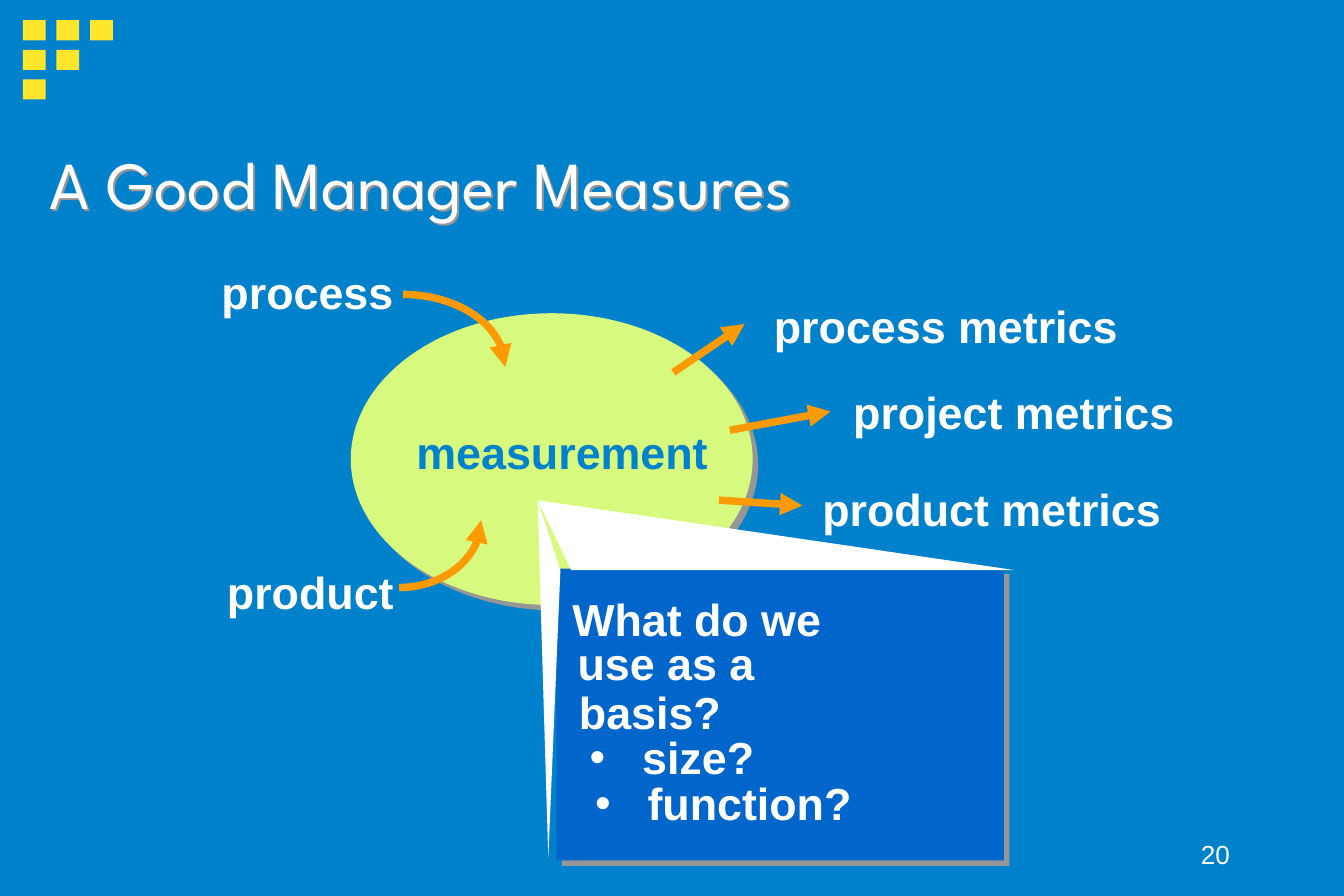
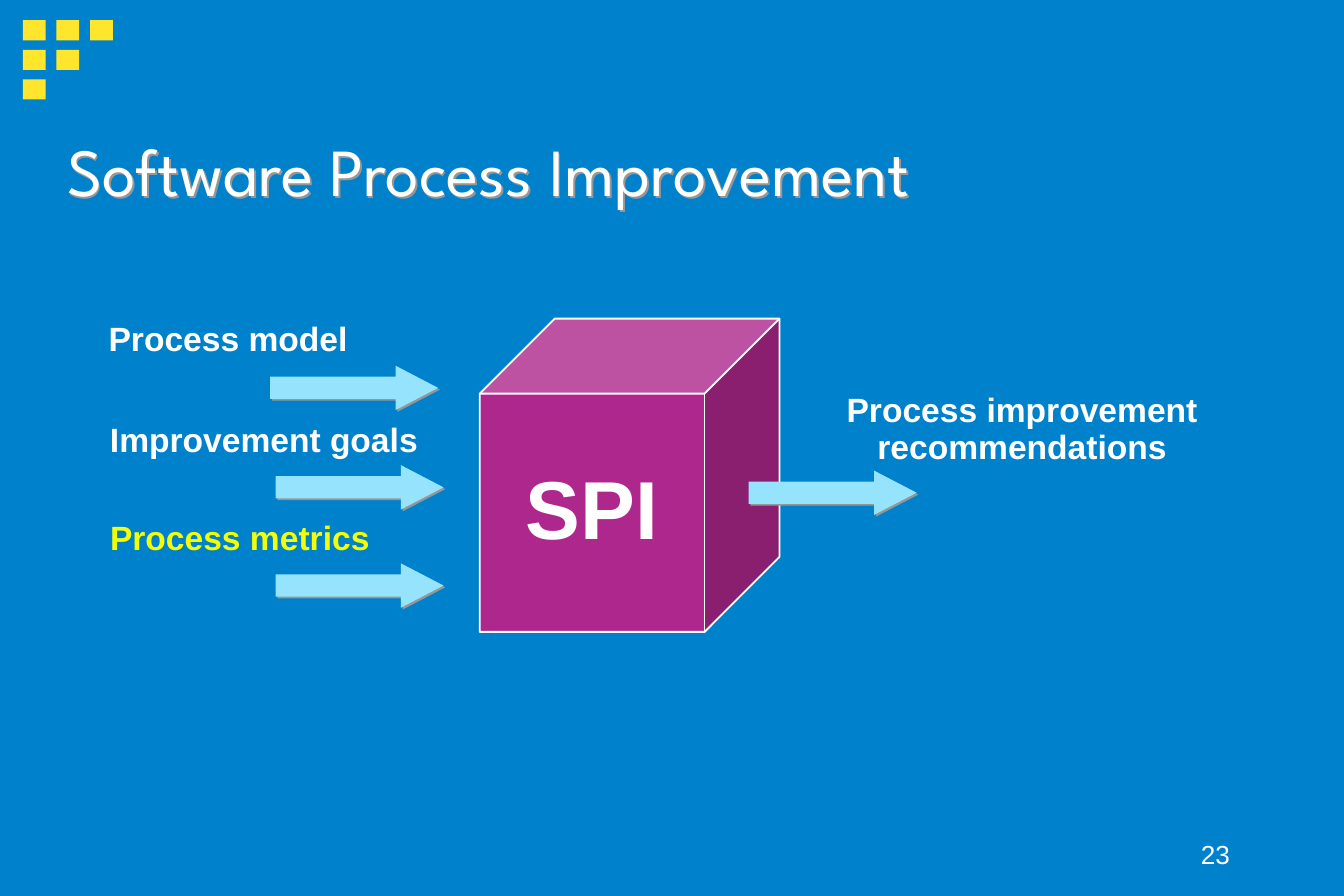
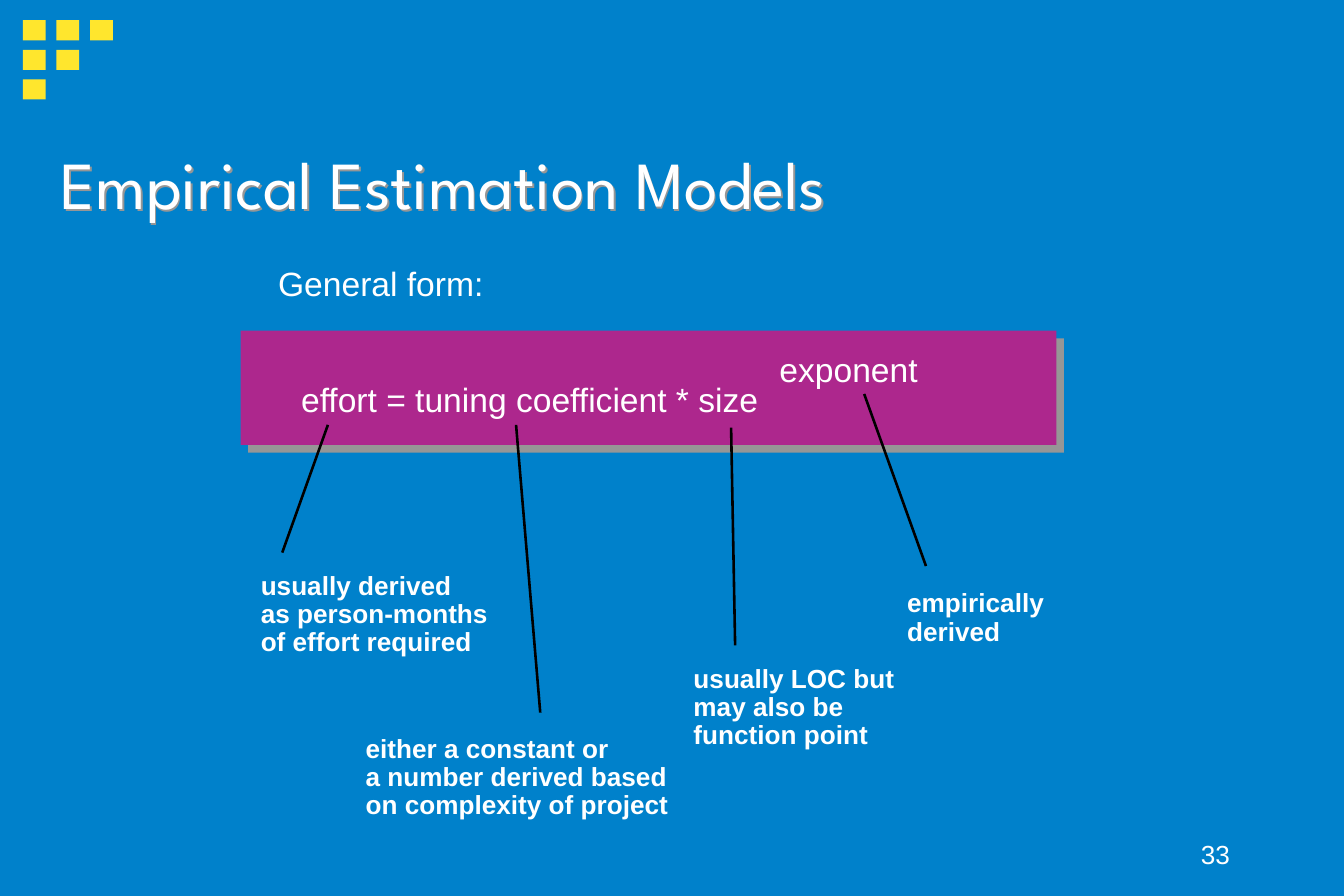
"""Build three slides on measuring and estimating software projects."""
from math import cos, pi, sin

from lxml.etree import SubElement
from pptx import Presentation
from pptx.dml.color import RGBColor
from pptx.enum.shapes import MSO_CONNECTOR, MSO_SHAPE
from pptx.enum.text import MSO_ANCHOR, MSO_AUTO_SIZE, PP_ALIGN
from pptx.oxml.ns import qn
from pptx.util import Inches, Pt

BLUE = RGBColor(0x00, 0x81, 0xCB)
NAVY = RGBColor(0x00, 0x66, 0xCC)
WHITE = RGBColor(0xFF, 0xFF, 0xFF)
BLACK = RGBColor(0x00, 0x00, 0x00)
GOLD = RGBColor(0xFF, 0xE6, 0x2D)
YELLOW = RGBColor(0xF3, 0xFF, 0x07)
LIME = RGBColor(0xD7, 0xFA, 0x7E)
ORANGE = RGBColor(0xFE, 0x9B, 0x03)
PURPLE = RGBColor(0xAD, 0x27, 0x8D)
SKY = RGBColor(0x96, 0xE3, 0xFE)
GREY = RGBColor(0x96, 0x96, 0x96)


def add_shadow(effects, dist):
    """Cast a solid grey shadow down and to the right."""
    cast = SubElement(effects, qn("a:outerShdw"), dist=str(Pt(dist)),
                      dir="2700000", algn="ctr", rotWithShape="0")
    SubElement(cast, qn("a:srgbClr"), val=str(GREY))


def style(para, size, color, bold=False, font="Arial"):
    """Format every run of a paragraph."""
    for run in para.runs:
        run.font.size = Pt(size)
        run.font.bold = bold
        run.font.name = font
        run.font.color.rgb = color


def add_block(slide, kind, box, fill, shadow=0):
    """Add a filled preset shape without an outline."""
    block = slide.shapes.add_shape(kind, *map(Inches, box))
    block.fill.solid()
    block.fill.fore_color.rgb = fill
    block.line.fill.background()
    block.shadow.inherit = False
    if shadow:
        add_shadow(block._element.spPr.find(qn("a:effectLst")), shadow)
    return block


def add_label(slide, text, left, top, width, size=24, color=WHITE, bold=True,
              height=0.5, inset=0.1, space=None, align=PP_ALIGN.LEFT):
    """Add a text box and return its frame."""
    box = slide.shapes.add_textbox(*map(Inches, (left, top, width, height)))
    frame = box.text_frame
    frame.word_wrap = True
    frame.margin_left = frame.margin_right = Inches(inset)
    frame.margin_top = frame.margin_bottom = Inches(inset / 2)
    frame.text = text
    for para in frame.paragraphs:
        para.alignment = align
        para.line_spacing = space
        style(para, size, color, bold)
    return frame


def add_bullet(slide, text, left, top, width):
    """Add a label that starts with a bullet."""
    para = add_label(slide, text, left, top, width).paragraphs[0]
    props = para._p.get_or_add_pPr()
    props.set("marL", str(Inches(0.58)))
    props.set("indent", str(Inches(-0.39)))
    SubElement(props, qn("a:buFont"), typeface="Arial")
    SubElement(props, qn("a:buChar"), char="•")


def draw_line(shape, color, width, arrow):
    """Colour a line and give its end an arrowhead on request."""
    shape.line.color.rgb = color
    shape.line.width = Pt(width)
    if arrow:
        SubElement(shape.line._get_or_add_ln(), qn("a:tailEnd"), type="triangle")


def add_line(slide, start, end, color, width, arrow=False):
    """Join two points by a straight line."""
    line = slide.shapes.add_connector(
        MSO_CONNECTOR.STRAIGHT, *map(Inches, start + end))
    draw_line(line, color, width, arrow)
    SubElement(line._element.spPr, qn("a:effectLst"))


def add_path(slide, points, close):
    """Add a freeform through points given in inches."""
    spots = [(Inches(x), Inches(y)) for x, y in points]
    pen = slide.shapes.build_freeform(*spots[0])
    pen.add_line_segments(spots[1:], close=close)
    path = pen.convert_to_shape()
    path.shadow.inherit = False
    return path


def add_bend(slide, x, y, wide, high, steps=24):
    """Add a quarter ellipse arrow that ends at the right of its centre."""
    turns = [pi / 2 * (1 - step / steps) for step in range(steps + 1)]
    bend = add_path(slide, [(x + wide * cos(turn), y + high * sin(turn))
                            for turn in turns], False)
    bend.fill.background()
    draw_line(bend, ORANGE, 4, True)


def add_wedge(slide, points):
    """Add a white closed outline."""
    wedge = add_path(slide, points, True)
    wedge.fill.solid()
    wedge.fill.fore_color.rgb = WHITE
    wedge.line.fill.background()


def add_page(deck, layout, title, box, number):
    """Add a slide with its title and page number."""
    slide = deck.slides.add_slide(layout)
    head = slide.shapes.title
    head.left, head.top, head.width, head.height = map(Inches, box)
    frame = head.text_frame
    frame.text = title
    frame.auto_size = MSO_AUTO_SIZE.NONE
    frame.vertical_anchor = MSO_ANCHOR.MIDDLE
    frame.margin_left = frame.margin_right = Inches(0.07)
    frame.margin_top = frame.margin_bottom = Inches(0.03)
    para = frame.paragraphs[0]
    para.alignment = PP_ALIGN.LEFT
    style(para, 36, WHITE, font="League Spartan")
    add_shadow(SubElement(head._element.spPr, qn("a:effectLst")), 1.4)
    foot = add_label(slide, number, 7.17, 6.08, 2.08, 14, bold=False,
                     height=0.44, align=PP_ALIGN.RIGHT)
    foot.vertical_anchor = MSO_ANCHOR.BOTTOM
    return slide


def set_layout(layout, slide):
    """Give the layout its background and its corner of squares."""
    layout.background.fill.solid()
    layout.background.fill.fore_color.rgb = BLUE
    for row in range(3):
        for col in range(3 - row):
            box = (0.17 + 0.25 * col, 0.15 + 0.22 * row, 0.17, 0.15)
            square = add_block(slide, MSO_SHAPE.RECTANGLE, box, GOLD)
            layout.shapes._spTree.append(square._element)


def fill_measures(slide):
    """Show what goes into measurement and what comes out."""
    add_block(slide, MSO_SHAPE.OVAL, (2.61, 2.33, 2.99, 2.17), LIME, 4.2)
    add_block(slide, MSO_SHAPE.RECTANGLE, (4.14, 4.23, 3.33, 2.17), NAVY, 4.2)
    add_label(slide, "measurement", 3, 3.11, 2.42, color=BLUE)
    for text, left, top, width in (
            ("What do we", 4.16, 4.35, 3.06), ("use as a", 4.2, 4.68, 1.56),
            ("basis?", 4.21, 5.04, 1.3), ("process", 1.55, 1.92, 1.53),
            ("product", 1.59, 4.15, 1.49), ("process metrics", 5.66, 2.17, 2.81),
            ("project metrics", 6.25, 2.81, 2.64),
            ("product metrics", 6.02, 3.53, 2.77)):
        add_label(slide, text, left, top, width)
    add_bullet(slide, "size?", 4.1, 5.38, 1.8)
    add_bullet(slide, "function?", 4.14, 5.72, 2.4)
    add_bend(slide, 3, 2.73, 0.76, -0.54)
    add_bend(slide, 2.97, 3.87, 0.61, 0.5)
    for start, end in (((5.01, 2.77), (5.54, 2.41)), ((5.43, 3.2), (6.18, 3.06)),
                       ((5.35, 3.72), (5.97, 3.76))):
        add_line(slide, start, end, ORANGE, 4, True)
    add_wedge(slide, [(4, 3.72), (7.55, 4.24), (4.25, 4.24)])
    add_wedge(slide, [(4, 3.72), (4.08, 6.38), (4.17, 4.24)])


def fill_process(slide):
    """Show the inputs and the output of process improvement."""
    cube = add_block(slide, MSO_SHAPE.CUBE, (3.57, 2.37, 2.23, 2.33), PURPLE)
    draw_line(cube, WHITE, 1, False)
    frame = cube.text_frame
    frame.text = "SPI"
    frame.word_wrap = False
    frame.vertical_anchor = MSO_ANCHOR.MIDDLE
    para = frame.paragraphs[0]
    para.alignment = PP_ALIGN.CENTER
    para.line_spacing = 0.9
    style(para, 44, WHITE, True)
    for left, top in ((2.01, 2.72), (2.05, 3.46), (2.05, 4.19), (5.57, 3.5)):
        arrow = add_block(slide, MSO_SHAPE.RIGHT_ARROW,
                          (left, top, 1.25, 0.33), SKY, 1.4)
        arrow.adjustments[1] = 0.96
    for text, left, top, width, color in (
            ("Process model", 0.71, 2.35, 2.03, WHITE),
            ("Improvement goals", 0.72, 3.1, 2.54, WHITE),
            ("Process metrics", 0.72, 3.83, 2.18, YELLOW)):
        add_label(slide, text, left, top, width, 18, color, height=0.37, space=0.9)
    add_label(slide, "Process improvement\nrecommendations", 6.17, 2.88, 2.87, 18,
              height=0.64, space=0.9, align=PP_ALIGN.CENTER)


def fill_models(slide):
    """Show the general estimation formula and explain its terms."""
    add_block(slide, MSO_SHAPE.RECTANGLE, (1.79, 2.46, 6.07, 0.85), PURPLE, 5.7)
    for text, left, top, width in (
            ("General form:", 2.07, 1.99, 1.6),
            ("effort = tuning coefficient * size", 2.24, 2.85, 3.48),
            ("exponent", 5.8, 2.63, 1.1)):
        add_label(slide, text, left, top, width, 18, bold=False, height=0.27,
                  inset=0, space=0.9)
    for start, end in (((2.44, 3.16), (2.1, 4.11)), ((3.84, 3.16), (4.02, 5.3)),
                       ((5.44, 3.18), (5.47, 4.8)), ((6.43, 2.93), (6.89, 4.21))):
        add_line(slide, start, end, BLACK, 1.39)
    for left, top, width, lines in (
            (1.94, 4.26, 1.75, ("usually derived", "as person-months",
                                "of effort required")),
            (2.72, 5.47, 2.35, ("either a constant or", "a number derived based",
                                "on complexity of project")),
            (5.16, 4.95, 1.55, ("usually LOC but", "may also be",
                                "function point")),
            (6.75, 4.39, 1.07, ("empirically", "derived"))):
        for row, text in enumerate(lines):
            add_label(slide, text, left, top + 0.21 * row, width, 14, height=0.21,
                      inset=0, space=0.9)


def main():
    """Build and save the deck."""
    deck = Presentation()
    deck.slide_width, deck.slide_height = Inches(10), Pt(479.8)
    layout = deck.slide_layouts[5]
    for holder in list(layout.placeholders)[1:]:
        layout.shapes._spTree.remove(holder._element)
    pages = (
        ("A Good Manager Measures", (0.3, 1.03, 9.3, 0.66), "20", fill_measures),
        ("Software Process Improvement", (0.43, 0.82, 9.57, 0.88), "23",
         fill_process),
        ("Empirical Estimation Models", (0.38, 1.03, 6.96, 0.66), "33",
         fill_models))
    for title, box, number, fill in pages:
        fill(add_page(deck, layout, title, box, number))
    set_layout(layout, deck.slides[0])
    deck.save("out.pptx")


if __name__ == "__main__":
    main()
